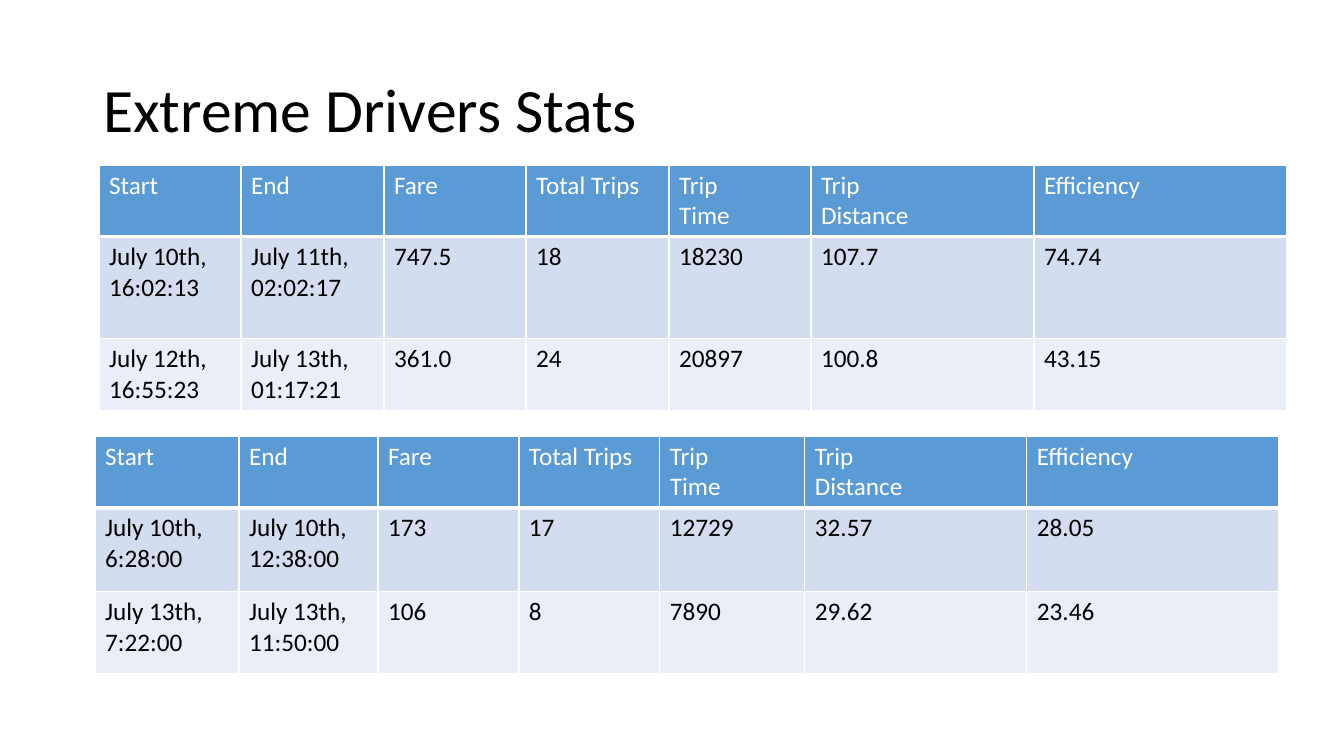
from lxml import etree
from pptx import Presentation
from pptx import util as u
from pptx.dml.color import RGBColor
from pptx.enum import text
from pptx.oxml.ns import qn

PX = 914400 / 100.8  # EMU in one px
THEME = {
    "font": "Calibri", "title_size": 44, "cell_size": 18,
    "text": "000000", "header_text": "FFFFFF", "border": "FFFFFF",
    "row_fills": ["5B9BD5", "D2DEEF", "EAEFF7"],
}


def px(length):
    return u.Emu(round(length * PX))


def add_text(paragraph, words, size, color):
    run = paragraph.add_run()
    run.text = words
    run.font.name = THEME["font"]
    run.font.size = u.Pt(size)
    run.font.bold = False
    run.font.color.rgb = RGBColor.from_string(color)


presentation = Presentation()
presentation.slide_width, presentation.slide_height = px(1344), px(756)
slide = presentation.slides.add_slide(presentation.slide_layouts[5])

# Title
title = slide.shapes.title
title.left, title.top, title.width, title.height = px(93), px(40), px(1159), px(146)
title_frame = title.text_frame
title_frame.word_wrap = True
title_frame.auto_size = text.MSO_AUTO_SIZE.NONE
title_frame.vertical_anchor = text.MSO_ANCHOR.MIDDLE
title_paragraph = title_frame.paragraphs[0]
title_paragraph.alignment = text.PP_ALIGN.LEFT
title_paragraph.line_spacing = 0.9
add_text(title_paragraph, "Extreme Drivers Stats", THEME["title_size"], THEME["text"])

# Driver data: a line feed starts a new paragraph
header = ["Start", "End", "Fare", "Total Trips", "Trip\nTime", "Trip\nDistance", "Efficiency"]
drivers = [
    {
        "left": 99, "top": 165,
        "columns": [142, 143, 142, 143, 142, 223, 253],
        "rows": [71, 102, 71],
        "trips": [
            ["July 10th,\n16:02:13", "July 11th,\n02:02:17", "747.5", "18", "18230", "107.7", "74.74"],
            ["July 12th,\n16:55:23", "July 13th,\n01:17:21", "361.0", "24", "20897", "100.8", "43.15"],
        ],
    },
    {
        "left": 95, "top": 436,
        "columns": [144, 139, 141, 141, 145, 222, 252],
        "rows": [71, 84, 82],
        "trips": [
            ["July 10th,\n6:28:00", "July 10th,\n12:38:00", "173", "17", "12729", "32.57", "28.05"],
            ["July 13th,\n7:22:00", "July 13th,\n11:50:00", "106", "8", "7890", "29.62", "23.46"],
        ],
    },
]

# Tables
for driver in drivers:
    columns, rows = driver["columns"], driver["rows"]
    table = slide.shapes.add_table(
        len(rows), len(columns), px(driver["left"]), px(driver["top"]),
        px(sum(columns)), px(sum(rows))).table
    for column, width in zip(table.columns, columns):
        column.width = px(width)

    for row_index, values in enumerate([header] + driver["trips"]):
        table.rows[row_index].height = px(rows[row_index])
        color = THEME["text"] if row_index else THEME["header_text"]
        for column_index, value in enumerate(values):
            cell = table.cell(row_index, column_index)
            frame = cell.text_frame
            for line_index, line in enumerate(value.split("\n")):
                paragraph = frame.add_paragraph() if line_index else frame.paragraphs[0]
                add_text(paragraph, line, THEME["cell_size"], color)

            # Borders come before the fill; the line under the header is thicker
            properties = cell._tc.get_or_add_tcPr()
            for side in ("L", "R", "T", "B"):
                under_header = (row_index, side) in ((0, "B"), (1, "T"))
                border = etree.SubElement(
                    properties, qn(f"a:ln{side}"), w=str(u.Pt(3 if under_header else 1)))
                fill = etree.SubElement(border, qn("a:solidFill"))
                etree.SubElement(fill, qn("a:srgbClr"), val=THEME["border"])
            cell.fill.solid()
            cell.fill.fore_color.rgb = RGBColor.from_string(THEME["row_fills"][row_index])

presentation.save("out.pptx")
